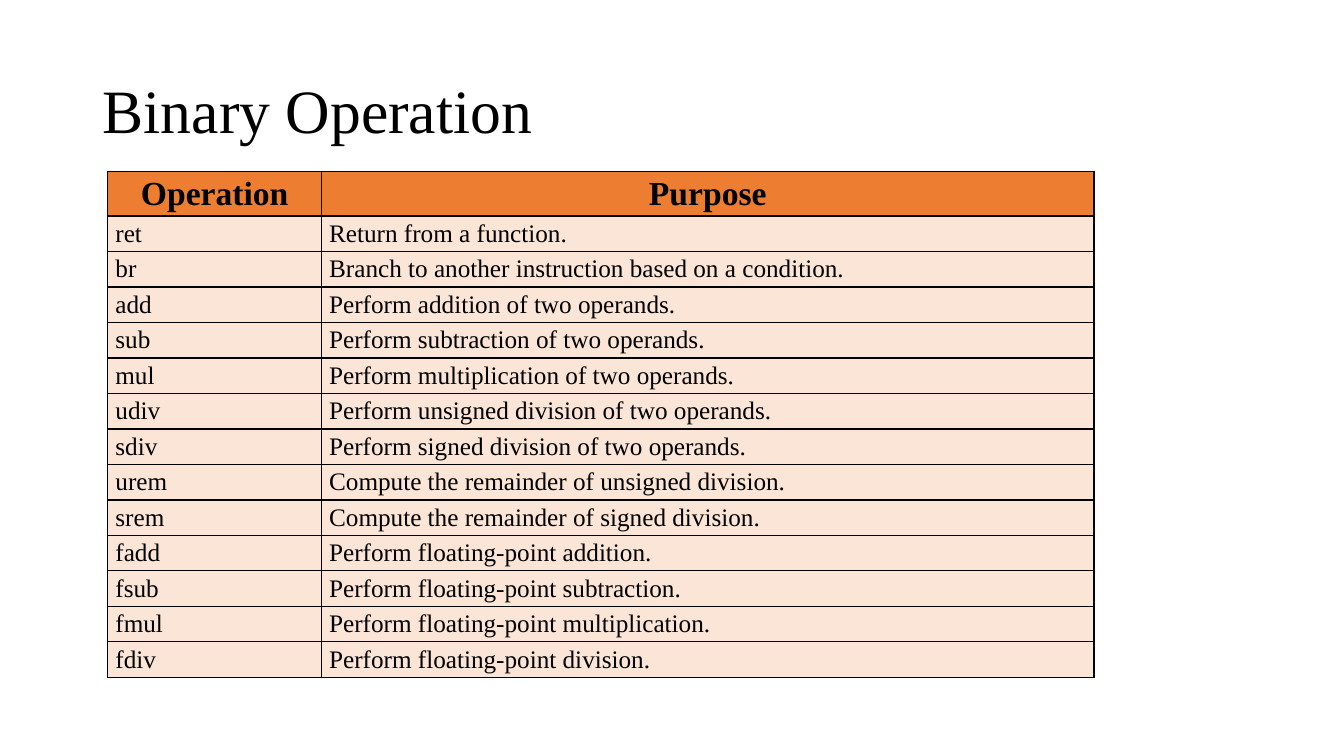
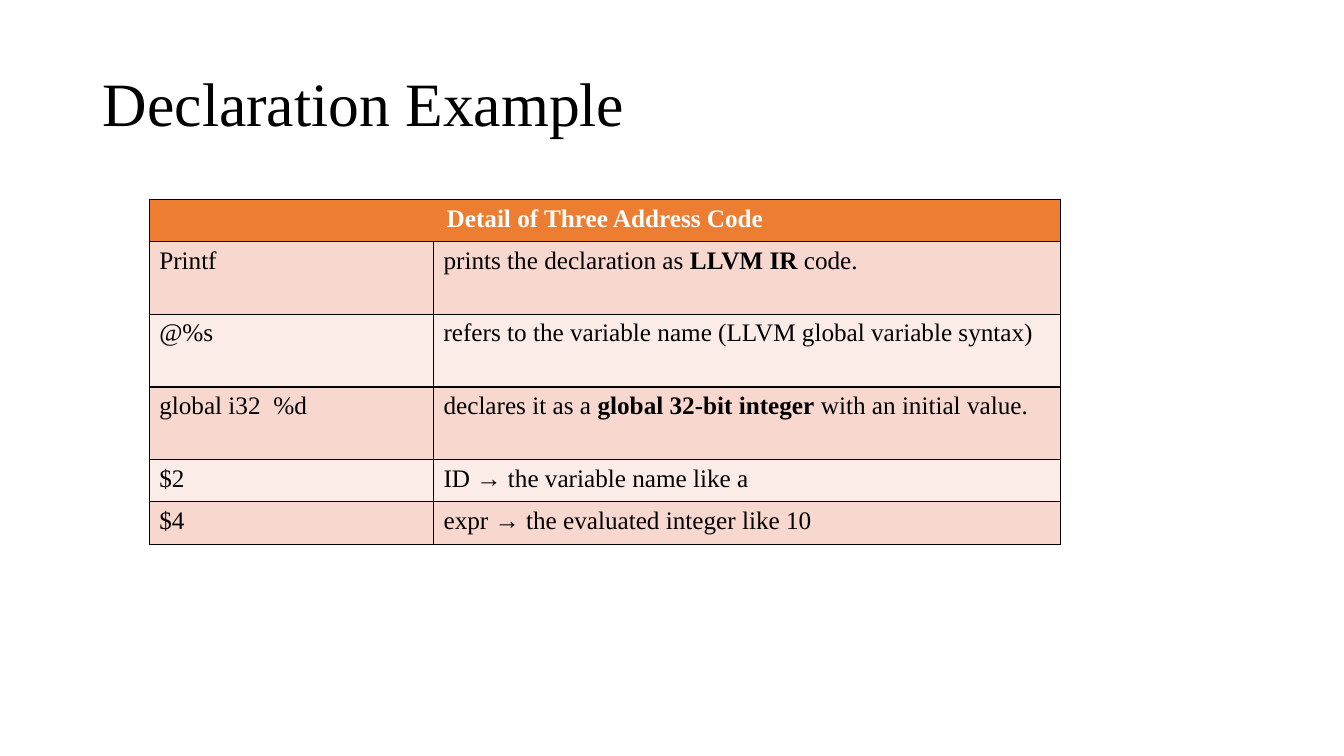
"""Build two slides of reference tables on compiler instructions."""
from dataclasses import dataclass

from lxml.etree import SubElement
from pptx import Presentation
from pptx.dml.color import RGBColor as Color
from pptx.enum.text import MSO_ANCHOR as Anchor, PP_ALIGN as Align
from pptx.oxml.ns import qn
from pptx.util import Inches, Pt


@dataclass(frozen=True)
class Theme:
    """Colours, font and type sizes shared by the slides."""
    font: str = "Times New Roman"
    black: str = "000000"
    white: str = "FFFFFF"
    orange: str = "ED7D31"
    peach: str = "FBE5D6"
    rose: str = "F8D7CE"
    blush: str = "FCECE8"
    title_size: int = 44
    header_size: int = 24
    body_size: int = 18
    border_width: int = 1


THEME = Theme()

OPERATIONS = [
    ("Operation", "Purpose"),
    ("ret", "Return from a function."),
    ("br", "Branch to another instruction based on a condition."),
    ("add", "Perform addition of two operands."),
    ("sub", "Perform subtraction of two operands."),
    ("mul", "Perform multiplication of two operands."),
    ("udiv", "Perform unsigned division of two operands."),
    ("sdiv", "Perform signed division of two operands."),
    ("urem", "Compute the remainder of unsigned division."),
    ("srem", "Compute the remainder of signed division."),
    ("fadd", "Perform floating-point addition."),
    ("fsub", "Perform floating-point subtraction."),
    ("fmul", "Perform floating-point multiplication."),
    ("fdiv", "Perform floating-point division."),
]

DECLARATION = [
    ("Detail of Three Address Code", ""),
    ("Printf", "prints the declaration as **LLVM IR** code."),
    ("@%s", "refers to the variable name (LLVM global variable syntax)"),
    ("global i32  %d", "declares it as a **global 32-bit integer** with an initial value."),
    ("$2", "ID → the variable name like a"),
    ("$4", "expr → the evaluated integer like 10"),
]


def apply_format(target, values):
    """Set every attribute named in a dict of format values."""
    for name, value in values.items():
        setattr(target, name, value)


def write_text(paragraph, text, size, color=THEME.black, bold=False, align=Align.LEFT):
    """Write text in which double asterisks switch bold on and off."""
    paragraph.alignment = align
    for index, part in enumerate(text.split("**")):
        run = paragraph.add_run()
        run.text = part
        apply_format(run.font, {"name": THEME.font, "size": Pt(size),
                                "bold": bold or index % 2 == 1})
        run.font.color.rgb = Color.from_string(color)


def add_title_slide(presentation, title, top):
    """Add a title-only slide with its title placed and formatted."""
    slide = presentation.slides.add_slide(presentation.slide_layouts[5])
    shape = slide.shapes.title
    apply_format(shape, {"left": Inches(0.92), "top": Inches(top),
                         "width": Inches(11.5), "height": Inches(1.45)})
    shape.text_frame.vertical_anchor = Anchor.MIDDLE
    paragraph = shape.text_frame.paragraphs[0]
    paragraph.line_spacing = 0.9
    write_text(paragraph, title, THEME.title_size)
    return slide


def add_borders(cell):
    """Draw a thin solid line on all four sides of a cell."""
    properties = cell._tc.get_or_add_tcPr()
    for index, side in enumerate(("lnL", "lnR", "lnT", "lnB")):
        line = SubElement(properties, qn(f"a:{side}"), w=str(Pt(THEME.border_width)))
        fill = SubElement(line, qn("a:solidFill"))
        SubElement(fill, qn("a:srgbClr"), val=THEME.black)
        properties.insert(index, line)


def add_grid(slide, rows, position, widths, heights, fills, header, last_align, cell_format):
    """Add a bordered table with a header row and cycling body fills."""
    left, top = position
    table = slide.shapes.add_table(
        len(rows), len(widths), Inches(left), Inches(top),
        Inches(sum(widths)), Inches(sum(heights))).table
    apply_format(table, {"first_row": False, "horz_banding": False})
    for column, width in zip(table.columns, widths):
        column.width = Inches(width)
    for row, height in zip(table.rows, heights):
        row.height = Inches(height)
    for row_index, texts in enumerate(rows):
        color = fills[(row_index - 1) % len(fills)] if row_index else THEME.orange
        for column_index, text in enumerate(texts):
            cell = table.cell(row_index, column_index)
            apply_format(cell, cell_format)
            cell.fill.solid()
            cell.fill.fore_color.rgb = Color.from_string(color)
            add_borders(cell)
            align = last_align if column_index else Align.LEFT
            style = {"size": THEME.body_size, "align": align} if row_index else header
            if text:
                write_text(cell.text_frame.paragraphs[0], text, **style)
    return table


def add_operation_slide(presentation):
    """Add the slide that lists the operations and their purposes."""
    slide = add_title_slide(presentation, "Binary Operation", 0.4)
    add_grid(
        slide, OPERATIONS, (1.07, 1.7), (2.12, 7.66), [0.34] * len(OPERATIONS),
        fills=[THEME.peach],
        header={"size": THEME.header_size, "bold": True, "align": Align.CENTER},
        last_align=Align.LEFT,
        cell_format={"vertical_anchor": Anchor.MIDDLE,
                     "margin_left": Pt(5.4), "margin_right": Pt(5.4),
                     "margin_top": Pt(2.7), "margin_bottom": Pt(2.7)})


def add_declaration_slide(presentation):
    """Add the slide that explains the parts of a declaration."""
    slide = add_title_slide(presentation, "Declaration Example", 0.33)
    table = add_grid(
        slide, DECLARATION, (1.48, 1.98), (2.82, 6.22),
        [0.42] + [0.72] * 3 + [0.42] * 2,
        fills=[THEME.rose, THEME.blush],
        header={"size": THEME.body_size, "color": THEME.white, "bold": True,
                "align": Align.CENTER},
        last_align=Align.JUSTIFY,
        cell_format={"vertical_anchor": Anchor.TOP})
    table.cell(0, 0).merge(table.cell(0, 1))


def main():
    """Build and save the presentation."""
    presentation = Presentation()
    apply_format(presentation, {"slide_width": Inches(13.33), "slide_height": Inches(7.5)})
    add_operation_slide(presentation)
    add_declaration_slide(presentation)
    presentation.save("out.pptx")


if __name__ == "__main__":
    main()
